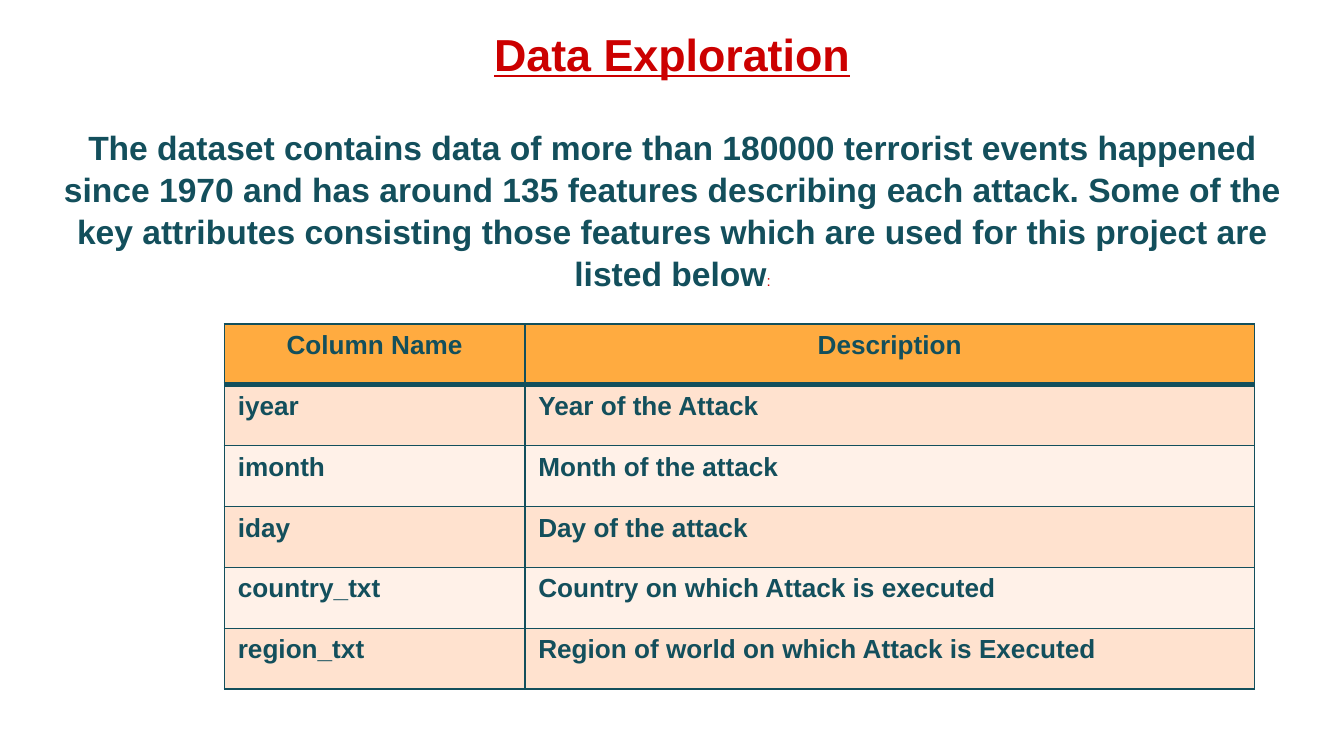
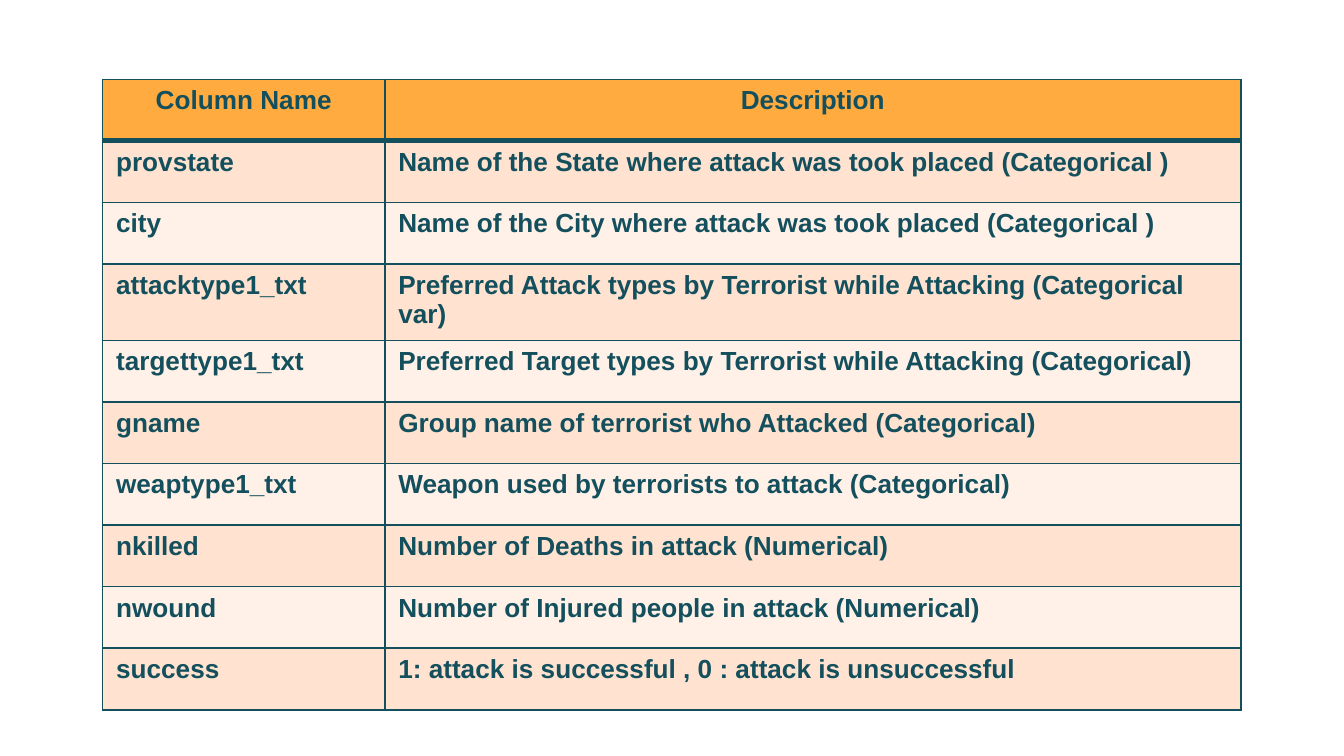
from dataclasses import dataclass

from lxml import etree
from pptx import Presentation
from pptx.dml.color import RGBColor
from pptx.enum.text import MSO_ANCHOR, MSO_AUTO_SIZE, PP_ALIGN
from pptx.oxml.ns import qn
from pptx.slide import Slide
from pptx.table import _Cell
from pptx.text.text import Font
from pptx.util import Pt

CENTER, LEFT = PP_ALIGN.CENTER, PP_ALIGN.LEFT
BOTTOM = MSO_ANCHOR.BOTTOM
GROW = MSO_AUTO_SIZE.SHAPE_TO_FIT_TEXT

# Shared look
FONT = "Arial"
TEAL = RGBColor(0x13, 0x4F, 0x5C)
RED = RGBColor(0xCC, 0x00, 0x00)
ORANGE = RGBColor(0xFF, 0xAB, 0x40)
PEACH = RGBColor(0xFF, 0xE2, 0xCF)
CREAM = RGBColor(0xFF, 0xF1, 0xE8)
LINE_SPACING = 1.04
THIN, THICK = 1, 3

HEADER = ("Column Name", "Description")


@dataclass(frozen=True)
class AttributeTable:
    left: float
    top: float
    column_widths: tuple[float, float]
    row_height: float
    attributes: tuple[tuple[str, str], ...]


EVENT_TABLE = AttributeTable(120.2, 173.5, (161, 391), 32.65, (
    ("iyear", "Year of the Attack"),
    ("imonth", "Month of the attack"),
    ("iday", "Day of the attack"),
    ("country_txt", "Country on which Attack is executed"),
    ("region_txt", "Region of world on which Attack is Executed"),
))

ATTACK_TABLE = AttributeTable(55, 42.5, (151.2, 458.6), 33, (
    ("provstate", "Name of the State where attack was took placed (Categorical )"),
    ("city", "Name of the City where attack was took placed (Categorical )"),
    ("attacktype1_txt", "Preferred Attack types by Terrorist while Attacking (Categorical var)"),
    ("targettype1_txt", "Preferred Target types by Terrorist while Attacking (Categorical)"),
    ("gname", "Group name of terrorist who Attacked (Categorical)"),
    ("weaptype1_txt", "Weapon used by terrorists to attack (Categorical)"),
    ("nkilled", "Number of Deaths in attack (Numerical)"),
    ("nwound", "Number of Injured people in attack (Numerical)"),
    ("success", "1: attack is successful , 0 : attack is unsuccessful"),
))

INTRO = (
    "The dataset contains data of more than 180000 terrorist events happened "
    "since 1970 and has around 135 features describing each attack. Some of the "
    "key attributes consisting those features which are used for this project are "
    "listed below"
)


def style_font(font: Font, size: float, color: RGBColor, bold: bool = True) -> None:
    font.name, font.size, font.bold = FONT, Pt(size), bold
    font.color.rgb = color


def set_borders(cell: _Cell, top: float, bottom: float) -> None:
    """Outline a cell; its border elements must come before its fill."""
    properties = cell._tc.get_or_add_tcPr()
    widths = {"a:lnL": THIN, "a:lnR": THIN, "a:lnT": top, "a:lnB": bottom}
    for position, (tag, width) in enumerate(widths.items()):
        line = etree.Element(qn(tag), w=str(Pt(width)))
        fill = etree.SubElement(line, qn("a:solidFill"))
        etree.SubElement(fill, qn("a:srgbClr"), val=str(TEAL))
        properties.insert(position, line)


def add_title(page: Slide, text: str) -> None:
    box = page.shapes.add_textbox(Pt(165.6), Pt(9.5), Pt(388.8), Pt(36))
    box.text_frame.word_wrap = True
    box.text_frame.auto_size = GROW
    para = box.text_frame.paragraphs[0]
    para.text, para.alignment, para.line_spacing = text, CENTER, LINE_SPACING
    style_font(para.font, 24, RED)
    para.font.underline = True


def add_intro(page: Slide) -> None:
    box = page.shapes.add_textbox(Pt(18.7), Pt(56.2), Pt(683.3), Pt(146.2))
    frame = box.text_frame
    frame.word_wrap, frame.vertical_anchor = True, BOTTOM
    frame.margin_bottom = Pt(45.5)
    para = frame.paragraphs[0]
    para.alignment, para.line_spacing = CENTER, LINE_SPACING
    for text, size, color, bold in ((INTRO, 18, TEAL, True), (":", 8, RED, False)):
        span = para.add_run()
        span.text = text
        style_font(span.font, size, color, bold)


def add_attribute_table(page: Slide, layout: AttributeTable) -> None:
    rows = (HEADER, *layout.attributes)
    table = page.shapes.add_table(
        len(rows), len(HEADER), Pt(layout.left), Pt(layout.top),
        Pt(sum(layout.column_widths)), Pt(layout.row_height * len(rows)),
    ).table
    table.horz_banding = False
    for column, width in zip(table.columns, layout.column_widths):
        column.width = Pt(width)

    for row_index, texts in enumerate(rows):
        table.rows[row_index].height = Pt(layout.row_height)
        is_header = row_index == 0
        band = ORANGE if is_header else (CREAM, PEACH)[row_index % 2]
        for column_index, text in enumerate(texts):
            cell = table.cell(row_index, column_index)
            cell.fill.solid()
            cell.fill.fore_color.rgb = band
            set_borders(cell, THICK if row_index == 1 else THIN,
                        THICK if is_header else THIN)
            para = cell.text_frame.paragraphs[0]
            para.text = text
            para.alignment = CENTER if is_header else LEFT
            style_font(para.font, 14, TEAL)


def main() -> None:
    deck = Presentation()
    deck.slide_width, deck.slide_height = Pt(720), Pt(405)
    blank = deck.slide_layouts[6]

    # Introduction and event attributes
    page = deck.slides.add_slide(blank)
    add_intro(page)
    add_title(page, "Data Exploration")
    add_attribute_table(page, EVENT_TABLE)

    # Attack attributes
    page = deck.slides.add_slide(blank)
    add_attribute_table(page, ATTACK_TABLE)

    deck.save("out.pptx")


if __name__ == "__main__":
    main()
